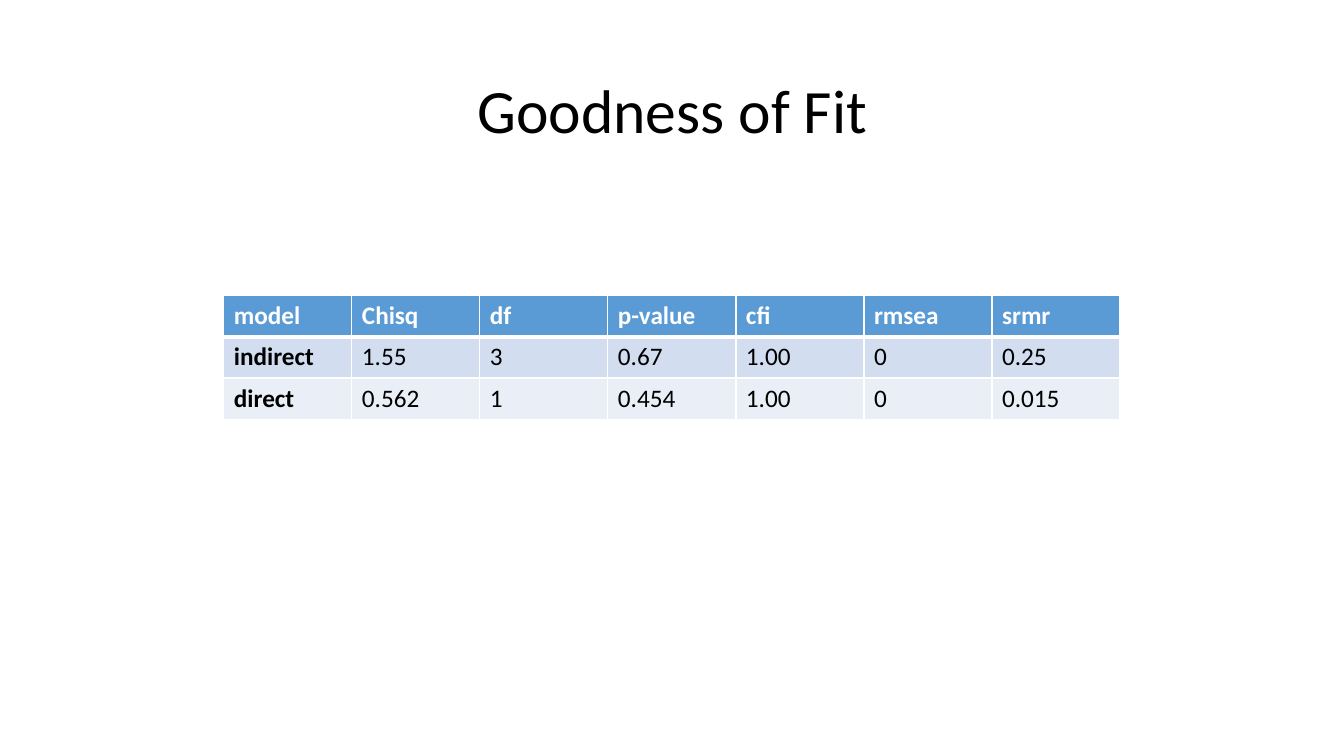
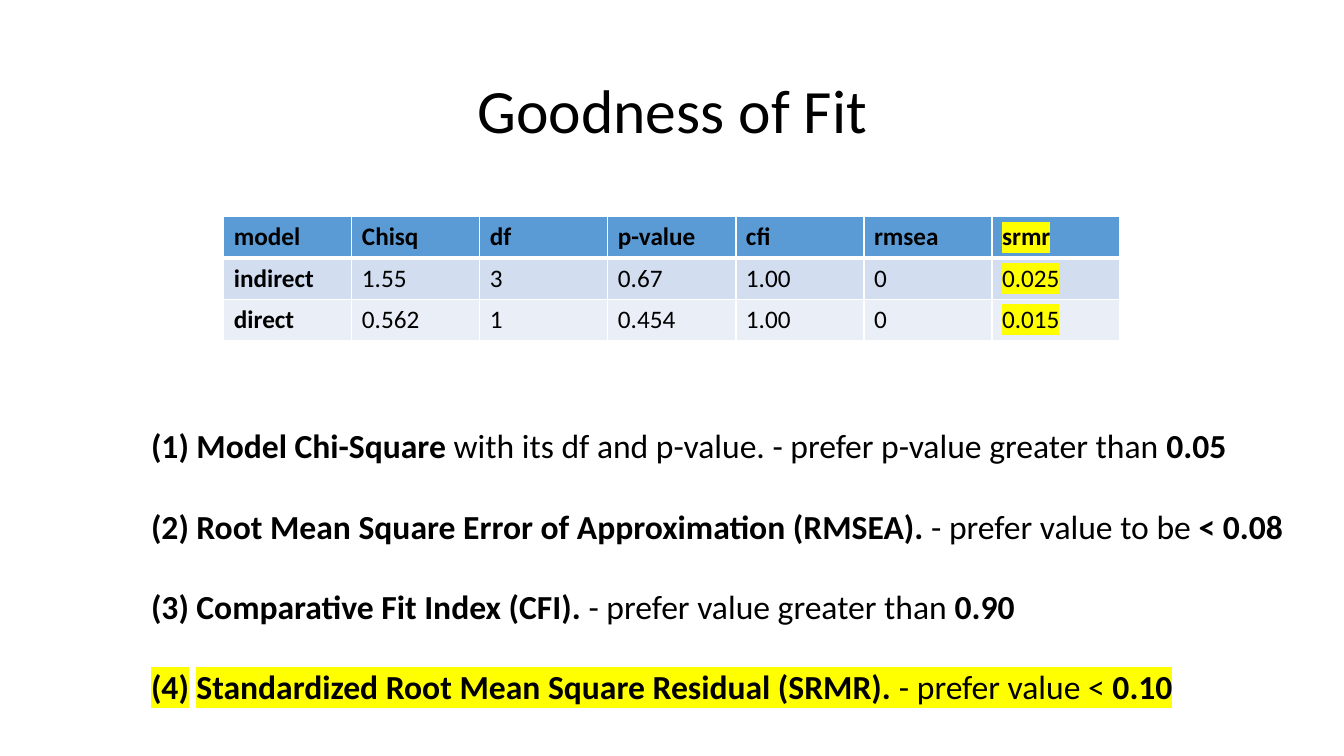
from lxml import etree
from pptx import Presentation
from pptx.dml.color import RGBColor
from pptx.enum import text
from pptx.oxml import ns
from pptx.util import Inches, Pt

FONT = "Calibri"
COLORS = {
    "black": "000000",
    "white": "FFFFFF",
    "header": "5B9BD5",
    "odd_row": "D2DEEF",
    "even_row": "EAEFF7",
    "marker": "FFFF00",
}
MEASURES = ["model", "Chisq", "df", "p-value", "cfi", "rmsea", "srmr"]
INDIRECT = ["indirect", "1.55", "3", "0.67", "1.00", "0"]
DIRECT = ["direct", "0.562", "1", "0.454", "1.00", "0", "0.015"]

# Each criterion: measure, advice, threshold, highlighted or not
CRITERIA = [
    ("Model Chi-Square ",
     "with its df and p-value. - prefer p-value greater than ", "0.05", False),
    ("Root Mean Square Error of Approximation (RMSEA). ",
     "- prefer value to be ", "< 0.08", False),
    ("Comparative Fit Index (CFI). ",
     "- prefer value greater than ", "0.90", False),
    ("Standardized Root Mean Square Residual (SRMR). ",
     "- prefer value < ", "0.10", True),
]


def rgb(name):
    return RGBColor.from_string(COLORS[name])


def add_color(parent, name):
    etree.SubElement(parent, ns.qn("a:srgbClr"), val=COLORS[name])


def add_run(paragraph, words, size, color="black", bold=False, marked=False):
    run = paragraph.add_run()
    run.text = words
    font = run.font
    font.name, font.size, font.bold = FONT, Pt(size), bold
    font.color.rgb = rgb(color)
    if marked:
        highlight = etree.Element(ns.qn("a:highlight"))
        add_color(highlight, "marker")
        # The schema wants the highlight right after the text fill
        run.font._element.find(ns.qn("a:solidFill")).addnext(highlight)


def add_text_frame(slide, left, top, width, height):
    box = slide.shapes.add_textbox(*map(Inches, (left, top, width, height)))
    box.text_frame.word_wrap = True
    return box.text_frame


def add_title(slide, words):
    frame = add_text_frame(slide, 0.92, 0.4, 11.5, 1.45)
    frame.vertical_anchor = text.MSO_ANCHOR.MIDDLE
    title = frame.paragraphs[0]
    title.alignment = text.PP_ALIGN.CENTER
    title.line_spacing = 0.9
    add_run(title, words, 44)


def set_borders(cell, **widths):
    """Draw white borders; widths are points by side, in the order L, R, T, B."""
    properties = cell._tc.get_or_add_tcPr()
    for position, (side, width) in enumerate(widths.items()):
        line = etree.Element(ns.qn(f"a:ln{side}"), w=str(Pt(width)))
        add_color(etree.SubElement(line, ns.qn("a:solidFill")), "white")
        properties.insert(position, line)


def add_fit_table(slide, top, rows, header_color, marked_column=None):
    column_width, row_height = Inches(1.27), Inches(0.41)
    table = slide.shapes.add_table(
        len(rows), len(MEASURES), Inches(2.22), Inches(top),
        column_width * len(MEASURES), row_height * len(rows)).table
    for column in table.columns:
        column.width = column_width
    for r, values in enumerate(rows):
        is_header = r == 0
        fill = "header" if is_header else ("even_row", "odd_row")[r % 2]
        for c, value in enumerate(values):
            cell = table.cell(r, c)
            cell.fill.solid()
            cell.fill.fore_color.rgb = rgb(fill)
            set_borders(cell, L=1, R=1, T=3 if r == 1 else 1,
                        B=3 if is_header else 1)
            add_run(cell.text_frame.paragraphs[0], value, 18,
                    header_color if is_header else "black",
                    bold=is_header or c == 0,
                    marked=MEASURES[c] == marked_column)


def number_paragraph(paragraph, hanging):
    """Number as (1), (2), ... with a hanging indent."""
    properties = paragraph._p.get_or_add_pPr()
    properties.set("marL", str(Inches(hanging)))
    properties.set("indent", str(-Inches(hanging)))
    etree.SubElement(properties, ns.qn("a:buFont"), typeface=FONT)
    etree.SubElement(properties, ns.qn("a:buAutoNum"), type="arabicParenBoth")


def add_criteria(slide):
    frame = add_text_frame(slide, 1.4, 4.17, 11.54, 3.33)
    for i, (measure, advice, threshold, marked) in enumerate(CRITERIA):
        item = frame.add_paragraph() if i else frame.paragraphs[0]
        item.space_before = Pt(28.5 if i else 0)
        number_paragraph(item, 0.45)
        add_run(item, measure, 24, bold=True, marked=marked)
        add_run(item, advice, 24, marked=marked)
        add_run(item, threshold, 24, bold=True, marked=marked)


def add_fit_slide(deck, table_top, indirect_srmr, header_color, marked_column=None):
    slide = deck.slides.add_slide(deck.slide_layouts[6])
    add_title(slide, "Goodness of Fit")
    rows = [MEASURES, INDIRECT + [indirect_srmr], DIRECT]
    add_fit_table(slide, table_top, rows, header_color, marked_column)
    return slide


def main():
    deck = Presentation()
    deck.slide_width, deck.slide_height = Inches(13.33), Inches(7.5)
    add_fit_slide(deck, 2.93, "0.25", "white")
    add_criteria(add_fit_slide(deck, 2.15, "0.025", "black", "srmr"))
    deck.save("out.pptx")


if __name__ == "__main__":
    main()
